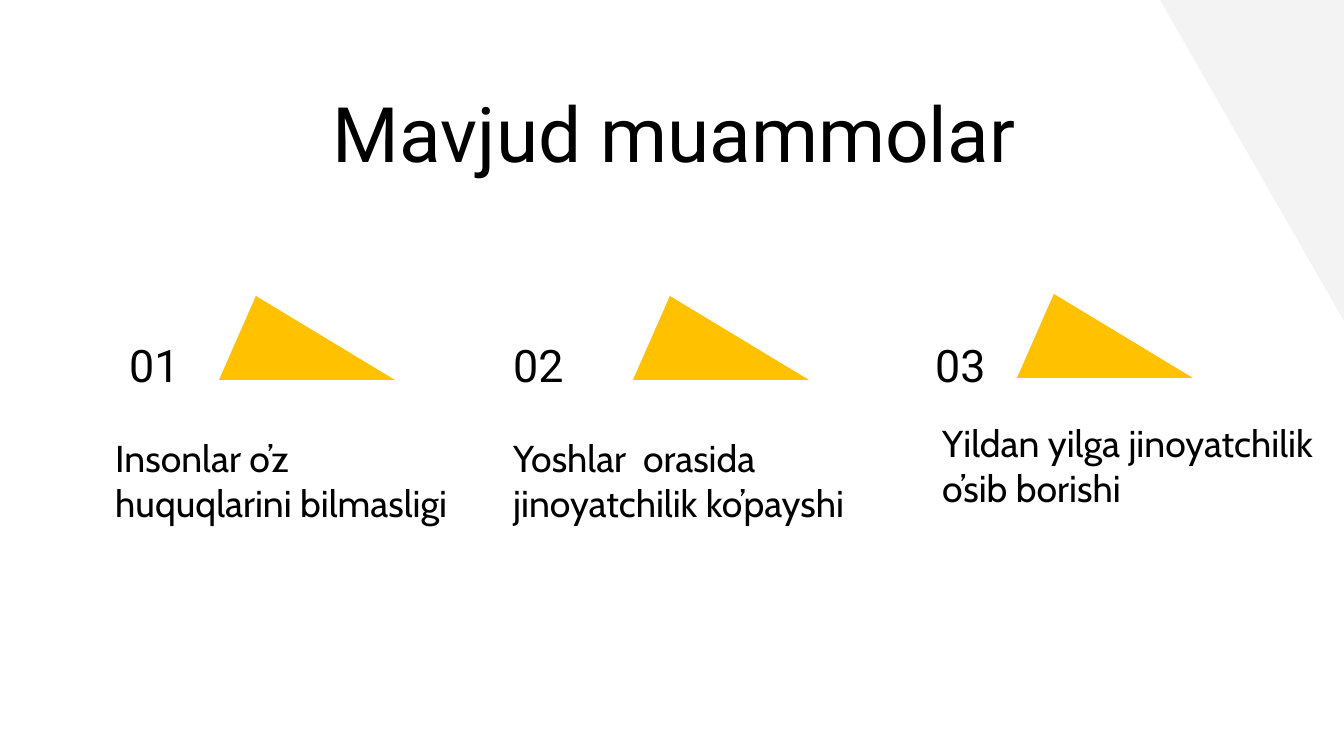
from pptx import Presentation
from pptx import util as u
from pptx.dml.color import RGBColor
from pptx.enum import shapes, text

PX = 914400 / 134.4
COLUMNS = [
    ("01", "Insonlar o’z huquqlarini bilmasligi", (116, 339), (102, 422, 382, 97), (219, 296)),
    ("02", "Yoshlar  orasida jinoyatchilik ko’payshi", (500, 339), (500, 422, 382, 97), (633, 296)),
    ("03", "Yildan yilga jinoyatchilik o’sib borishi", (922, 339), (929, 407, 415, 153), (1017, 294)),
]


def px(n):
    """Convert picture pixels to EMU."""
    return u.Emu(round(n * PX))


def rgb(value):
    """Turn a hex string into a colour."""
    return RGBColor.from_string(value)


def place(sp, box):
    """Put a shape at a pixel box."""
    sp.left, sp.top, sp.width, sp.height = map(px, box)


def write(sp, words, size, font, align=text.PP_ALIGN.LEFT, anchor=text.MSO_ANCHOR.TOP):
    """Fill a shape with one formatted paragraph."""
    tf = sp.text_frame
    tf.word_wrap = True
    tf.auto_size = text.MSO_AUTO_SIZE.NONE
    tf.vertical_anchor = anchor
    tf.margin_left = tf.margin_right = tf.margin_top = tf.margin_bottom = u.Inches(0.1)
    p = tf.paragraphs[0]
    p.text = words
    p.alignment = align
    p.font.size = u.Pt(size)
    p.font.name = font
    p.font.color.rgb = rgb("000000")


def add_text(slide, box, words, size, font, **layout):
    """Add a text box."""
    sp = slide.shapes.add_textbox(*map(px, box))
    write(sp, words, size, font, **layout)


def add_triangle(slide, kind, box, color):
    """Add a filled triangle without outline."""
    sp = slide.shapes.add_shape(kind, *map(px, box))
    sp.shadow.inherit = False
    sp.fill.solid()
    sp.fill.fore_color.rgb = rgb(color)
    sp.line.fill.background()
    return sp


def add_column(slide, number, words, number_at, words_box, triangle_at):
    """Add one numbered problem with its triangle."""
    sp = add_triangle(slide, shapes.MSO_SHAPE.ISOSCELES_TRIANGLE, (*triangle_at, 176, 84), "FFC100")
    sp.adjustments[0] = 0.21
    add_text(slide, (*number_at, 159, 52), number, 24, "Roboto", anchor=text.MSO_ANCHOR.MIDDLE)
    add_text(slide, words_box, words, 20, "Cabin")


def main():
    """Build the slide and save it."""
    prs = Presentation()
    prs.slide_width, prs.slide_height = px(1344), px(756)
    slide = prs.slides.add_slide(prs.slide_layouts[5])
    corner = add_triangle(slide, shapes.MSO_SHAPE.RIGHT_TRIANGLE, (1160, 0, 184, 321), "F3F3F3")
    corner.rotation = 180
    title = slide.shapes.title
    place(title, (79, 73, 1191, 85))
    write(title, "Mavjud muammolar", 41, "Roboto", align=text.PP_ALIGN.CENTER)
    for column in COLUMNS:
        add_column(slide, *column)
    prs.save("out.pptx")


main()
